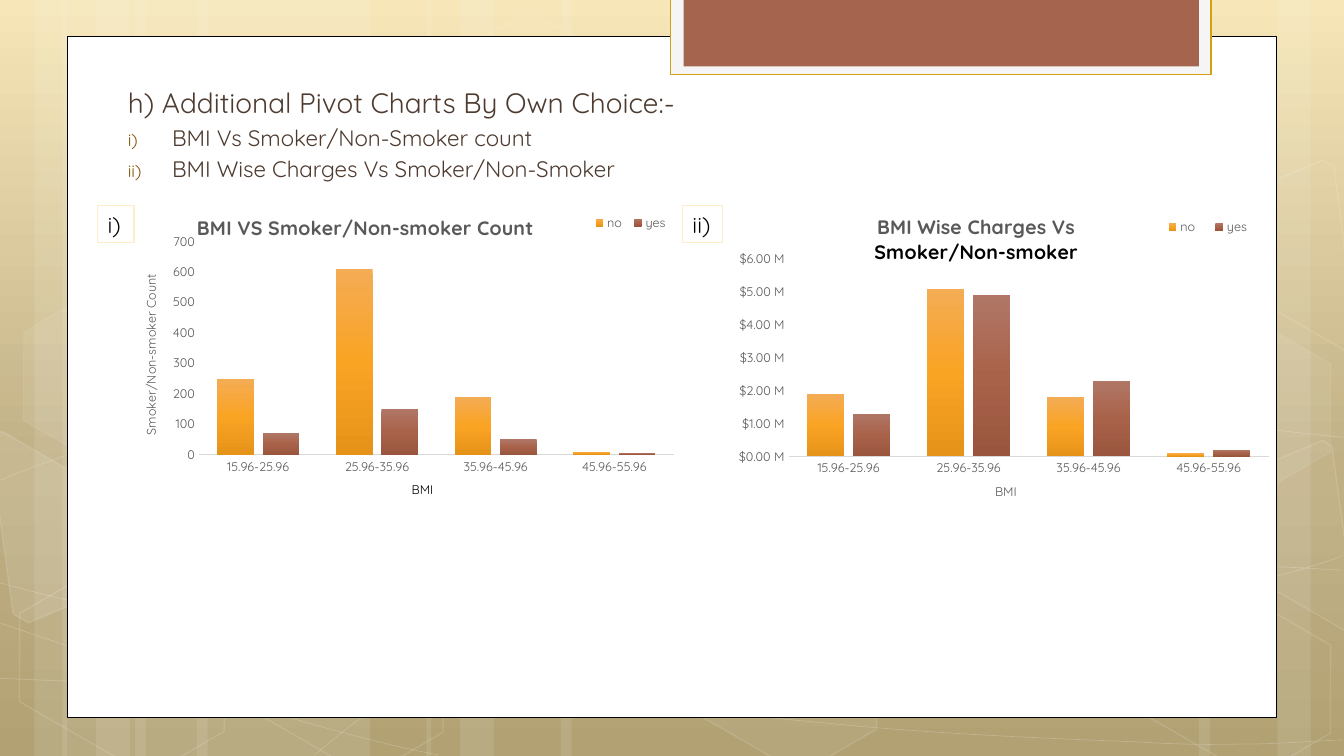
import copy

import pptx
import pptx.chart.data
import pptx.dml.color
import pptx.enum.chart
import pptx.enum.shapes
import pptx.enum.text
import pptx.oxml.ns
import pptx.util

Inches = pptx.util.Inches
Pt = pptx.util.Pt
RGBColor = pptx.dml.color.RGBColor
SHAPES = pptx.enum.shapes.MSO_SHAPE
LEFT = pptx.enum.text.PP_ALIGN.LEFT
qn = pptx.oxml.ns.qn

FONT = "Quicksand"
WHITE = RGBColor(0xFF, 0xFF, 0xFF)
BLACK = RGBColor(0, 0, 0)
BROWN = RGBColor(0x4E, 0x3B, 0x30)
RUST = RGBColor(0xA5, 0x64, 0x4E)
GOLD = RGBColor(0xD2, 0xA0, 0x10)
CREAM = RGBColor(0xFB, 0xEE, 0xC9)
PALE = RGBColor(0xF5, 0xF5, 0xF5)
GRAY = RGBColor(0x59, 0x59, 0x59)
AXIS_GRAY = RGBColor(0xD9, 0xD9, 0xD9)
BACKDROP = [(0, RGBColor(0xF6, 0xE4, 0xB0)), (0.62, RGBColor(0xBA, 0xA8, 0x78)), (1, RGBColor(0xA9, 0x97, 0x64))]
ORANGE_BARS = [(0, RGBColor(0xF4, 0xAC, 0x55)), (0.5, RGBColor(0xFA, 0xA4, 0x24)), (1, RGBColor(0xE5, 0x93, 0x19))]
RUST_BARS = [(0, RGBColor(0xB0, 0x77, 0x66)), (0.5, RGBColor(0xA9, 0x62, 0x4A)), (1, RGBColor(0x9A, 0x55, 0x3E))]

BANDS = [(1.34, 2.33), (0, 0.67), (0.34, 1.11), (1.95, 2.33), (0.62, 0.67), (0.95, 1.11),
         (9.67, 2.33), (12.67, 0.67), (11.89, 1.11), (5.56, 4.11), (4.23, 0.67), (4.56, 1.11)]
CURVES = [
    [(-0.01, 6.73), (0.71, 6.76), (1.43, 6.79), (2.43, 6.78), (3.43, 6.77), (4.66, 6.75), (5.99, 6.65),
     (7.33, 6.55), (9.22, 6.36), (10.45, 6.17), (11.67, 5.98), (12.92, 5.68), (13.32, 5.51)],
    [(-0.01, 4.77), (0.37, 4.61), (0.75, 4.46), (1.51, 4.31), (2.27, 4.16), (3.34, 3.94), (4.52, 3.87),
     (5.71, 3.8), (7.14, 3.79), (8.61, 3.87), (10.08, 3.95), (12.52, 4.26), (13.32, 4.34)],
    [(-0.03, 6.17), (1.58, 6.72), (3.19, 7.27), (4.35, 7.49)],
    [(-0.01, 5.78), (0.4, 5.89), (0.82, 6), (1.6, 6.16), (2.37, 6.31), (3.53, 6.56), (4.64, 6.73),
     (5.76, 6.9), (7.16, 7.08), (8.26, 7.18), (9.37, 7.29), (10.55, 7.33), (11.26, 7.36),
     (11.96, 7.4), (12.14, 7.38), (12.49, 7.38), (12.83, 7.37), (13.08, 7.35), (13.32, 7.34)],
    [(3.12, 7.49), (3.36, 7.29), (3.59, 7.09), (3.92, 6.91), (4.24, 6.73), (4.69, 6.53), (5.06, 6.39),
     (5.43, 6.25), (5.66, 6.19), (6.15, 6.09), (6.64, 5.99), (7.54, 5.85), (8, 5.78),
     (8.47, 5.71), (8.54, 5.71), (8.96, 5.69), (9.37, 5.66), (10.02, 5.63), (10.48, 5.62),
     (10.94, 5.61), (11.71, 5.62), (11.71, 5.62), (12, 5.62), (12.3, 5.62), (12.59, 5.62),
     (12.84, 5.63), (13.06, 5.64), (13.18, 5.65), (13.3, 5.66), (13.26, 5.65), (13.3, 5.66)],
]
HEXAGONS = [(4.34, 0.36, 4, 8), (6.51, 5.89, 6, 12), (0.04, 5.91, 0, 12), (0.08, 3.12, 7, 8),
            (2.21, 5.92, 0, 12), (11.01, 5.93, 0, 12), (11.01, 3.14, 7, 8)]
CUT_HEXAGONS = [
    ([(-0.11, 4.34), (0.02, 4.28), (1.04, 4.87), (1.16, 5.81), (0.28, 6.18), (0.13, 6.09)], 10),
    ([(12.24, 4.74), (13.12, 4.37), (13.21, 4.43), (13.46, 6.25), (13.38, 6.28), (12.36, 5.69)], 4),
    ([(12.24, 1.96), (13.12, 1.59), (13.23, 1.65), (13.46, 3.46), (13.38, 3.5), (12.36, 2.91)], 0),
]
RANGES = ["15.96-25.96", "25.96-35.96", "35.96-45.96", "45.96-55.96"]


def shade(fill, host, stops):
    fill.gradient()
    fill.gradient_angle = 270
    stop_list = host.find(".//" + qn("a:gsLst"))
    stop_list.append(copy.deepcopy(stop_list[-1]))
    for stop, (position, color) in zip(fill.gradient_stops, stops):
        stop.position = position
        stop.color.rgb = color


def paint(shape, fill=None, fill_alpha=100, line=None, width=1, line_alpha=100):
    shape.shadow.inherit = False
    for part, color, alpha in ((shape.fill, fill, fill_alpha), (shape.line.fill, line, line_alpha)):
        if color is None or alpha == 0:
            part.background()
            continue
        part.solid()
        part.fore_color.rgb = color
        if alpha < 100:
            holder = shape.element.spPr if part is shape.fill else shape.element.spPr.find(qn("a:ln"))
            tint = holder.find(qn("a:solidFill"))[0]
            tint.append(tint.makeelement(qn("a:alpha"), {"val": str(alpha * 1000)}))
    if line is not None:
        shape.line.width = Pt(width)


def add_box(page, box, kind=SHAPES.RECTANGLE, **style):
    shape = page.shapes.add_shape(kind, *[Inches(value) for value in box])
    paint(shape, **style)
    return shape


def add_outline(page, points, close, **style):
    corners = [(Inches(x), Inches(y)) for x, y in points]
    builder = page.shapes.build_freeform(*corners[0])
    builder.add_line_segments(corners[1:], close=close)
    shape = builder.convert_to_shape()
    paint(shape, **style)
    return shape


def bend(shape):
    legs = list(shape.element.iter(qn("a:lnTo")))
    for start in range(0, len(legs), 3):
        curve = legs[start].makeelement(qn("a:cubicBezTo"), {})
        legs[start].addprevious(curve)
        for leg in legs[start:start + 3]:
            curve.append(leg[0])
            leg.getparent().remove(leg)


def add_backdrop(page):
    shade(page.background.fill, page.element, BACKDROP)
    for left, width in BANDS:
        add_box(page, (left, 0, width, 7.5), fill=WHITE, fill_alpha=10)
    for knots in CURVES:
        bend(add_outline(page, knots, False, line=WHITE, width=0.5, line_alpha=20))
    for left, top, fill_alpha, line_alpha in HEXAGONS:
        hexagon = add_box(page, (left, top, 2.34, 1.52), SHAPES.HEXAGON, fill=WHITE, fill_alpha=fill_alpha,
                          line=WHITE, line_alpha=line_alpha)
        hexagon.adjustments[0] = 0.285
        hexagon.rotation = 30
    for points, fill_alpha in CUT_HEXAGONS:
        add_outline(page, points, True, fill=WHITE, fill_alpha=fill_alpha, line=WHITE, line_alpha=12)
    add_box(page, (0.67, 0.36, 11.99, 6.76), fill=WHITE, line=BLACK, width=0.5)
    add_box(page, (6.65, -0.02, 5.36, 0.76), fill=PALE, line=GOLD)
    add_box(page, (6.78, -0.02, 5.11, 0.68), fill=RUST)


def write(para, text, size, color, bold=False):
    span = para.add_run()
    span.text = text
    span.font.name = FONT
    span.font.size = Pt(size)
    span.font.bold = bold
    span.font.color.rgb = color


def add_heading(page, box, heading, items):
    frame = page.shapes.add_textbox(*[Inches(value) for value in box]).text_frame
    frame.word_wrap = True
    for number, text in enumerate([heading] + items):
        para = frame.add_paragraph() if number else frame.paragraphs[0]
        size = 16 if number else 20
        para.space_before = Pt(size * 0.2)
        write(para, text, size, BROWN)
        props = para._p.get_or_add_pPr()
        props.set("marL", str(Inches(0.51 if number else 0.07)))
        if number:
            props.set("indent", str(Inches(-0.44)))
            color = props.makeelement(qn("a:buClr"), {})
            color.append(color.makeelement(qn("a:srgbClr"), {"val": "85540A"}))
            props.append(color)
            props.append(props.makeelement(qn("a:buSzPct"), {"val": "76000"}))
            props.append(props.makeelement(qn("a:buFont"), {"typeface": FONT}))
            props.append(props.makeelement(qn("a:buAutoNum"), {"type": "romanLcParenR"}))


def place(element, index, **settings):
    for old in element.findall(qn("c:layout")):
        element.remove(old)
    holder = element.makeelement(qn("c:layout"), {})
    manual = holder.makeelement(qn("c:manualLayout"), {})
    holder.append(manual)
    for tag, value in settings.items():
        manual.append(manual.makeelement(qn("c:" + tag), {"val": str(value)}))
    element.insert(index, holder)


def place_edge(element, index, numbers, **target):
    place(element, index, **target, xMode="edge", yMode="edge", **dict(zip("xywh", numbers)))


def title_axis(axis, text, color, spot):
    frame = axis.axis_title.text_frame
    write(frame.paragraphs[0], text, 9, color)
    place_edge(axis.axis_title.element, 1, spot)
    return frame


def add_bar_chart(page, box, title, title_at, legend_at, plot_at, series, top, step, number_format,
                  bmi_color, bmi_at, value_title=None):
    data = pptx.chart.data.CategoryChartData()
    data.categories = RANGES
    for name, values in zip(("no", "yes"), series):
        data.add_series(name, values)
    kind = pptx.enum.chart.XL_CHART_TYPE.COLUMN_CLUSTERED
    chart = page.shapes.add_chart(kind, *[Inches(value) for value in box], data).chart
    chart.font.name, chart.font.size = FONT, Pt(10)
    chart.has_title = True
    frame = chart.chart_title.text_frame
    for number, (text, color) in enumerate(title):
        para = frame.add_paragraph() if number else frame.paragraphs[0]
        para.alignment = LEFT
        write(para, text, 14, color, True)
    place_edge(chart.chart_title.element, 1, title_at)
    chart.has_legend = True
    chart.legend.position = pptx.enum.chart.XL_LEGEND_POSITION.RIGHT
    chart.legend.include_in_layout = False
    place_edge(chart.element.find(".//" + qn("c:legend")), 1, legend_at)
    place_edge(chart.element.find(".//" + qn("c:plotArea")), 0, plot_at, layoutTarget="inner")
    plot = chart.plots[0]
    plot.vary_by_categories, plot.gap_width, plot.overlap = False, 100, -24
    for bars, element, stops in zip(plot.series, chart.element.iter(qn("c:ser")), (ORANGE_BARS, RUST_BARS)):
        shade(bars.format.fill, element, stops)
    ranges, values = chart.category_axis, chart.value_axis
    for part in (ranges.tick_labels, values.tick_labels, chart.legend):
        part.font.name, part.font.size = FONT, Pt(9)
        part.font.color.rgb = GRAY
    for axis in (ranges, values):
        axis.major_tick_mark = pptx.enum.chart.XL_TICK_MARK.NONE
        axis.has_major_gridlines = False
    ranges.format.line.color.rgb, ranges.format.line.width = AXIS_GRAY, Pt(1)
    values.format.line.fill.background()
    values.minimum_scale, values.maximum_scale, values.major_unit = 0, top, step
    values.tick_labels.number_format = number_format
    values.tick_labels.number_format_is_linked = False
    title_axis(ranges, "BMI", bmi_color, bmi_at)
    if value_title:
        frame = title_axis(values, value_title, GRAY, (0.01, 0.22))
        frame._txBody.find(qn("a:bodyPr")).set("rot", "-5400000")


def add_label(page, box, text):
    frame = add_box(page, box, line=CREAM, width=0.75).text_frame
    frame.word_wrap = False
    frame.vertical_anchor = pptx.enum.text.MSO_ANCHOR.MIDDLE
    frame.paragraphs[0].alignment = LEFT
    write(frame.paragraphs[0], text, 16, BLACK)


def main():
    deck = pptx.Presentation()
    deck.slide_width, deck.slide_height = Inches(13.33), Inches(7.5)
    page = deck.slides.add_slide(deck.slide_layouts[6])
    add_backdrop(page)
    add_heading(page, (1.1, 0.8, 6.07, 1.28), "h) Additional Pivot Charts By Own Choice:-",
                ["BMI Vs Smoker/Non-Smoker count", "BMI Wise Charges Vs Smoker/Non-Smoker"])
    add_bar_chart(page, (1.33, 2.08, 5.36, 2.89), [("BMI VS Smoker/Non-smoker Count", GRAY)], (0.11, 0),
                  (0.84, 0, 0.16, 0.09), (0.12, 0.11, 0.88, 0.74),
                  [(250, 610, 190, 10), (70, 150, 50, 5)], 700, 100, "General", BLACK, (0.51, 0.93),
                  "Smoker/Non-smoker Count")
    add_label(page, (0.97, 2.04, 0.36, 0.37), "i)")
    add_bar_chart(page, (7.11, 2.08, 5.48, 2.91),
                  [("BMI Wise Charges Vs", GRAY), ("Smoker/Non-smoker", BLACK)], (0.28, 0),
                  (0.79, 0.01, 0.2, 0.1), (0.13, 0.17, 0.87, 0.68),
                  [(1900000, 5100000, 1800000, 100000), (1300000, 4900000, 2300000, 200000)],
                  6000000, 1000000, '\\$#,##0.00,," M"', GRAY, (0.5, 0.93))
    add_label(page, (6.77, 2.04, 0.4, 0.37), "ii)")
    deck.save("out.pptx")


if __name__ == "__main__":
    main()
